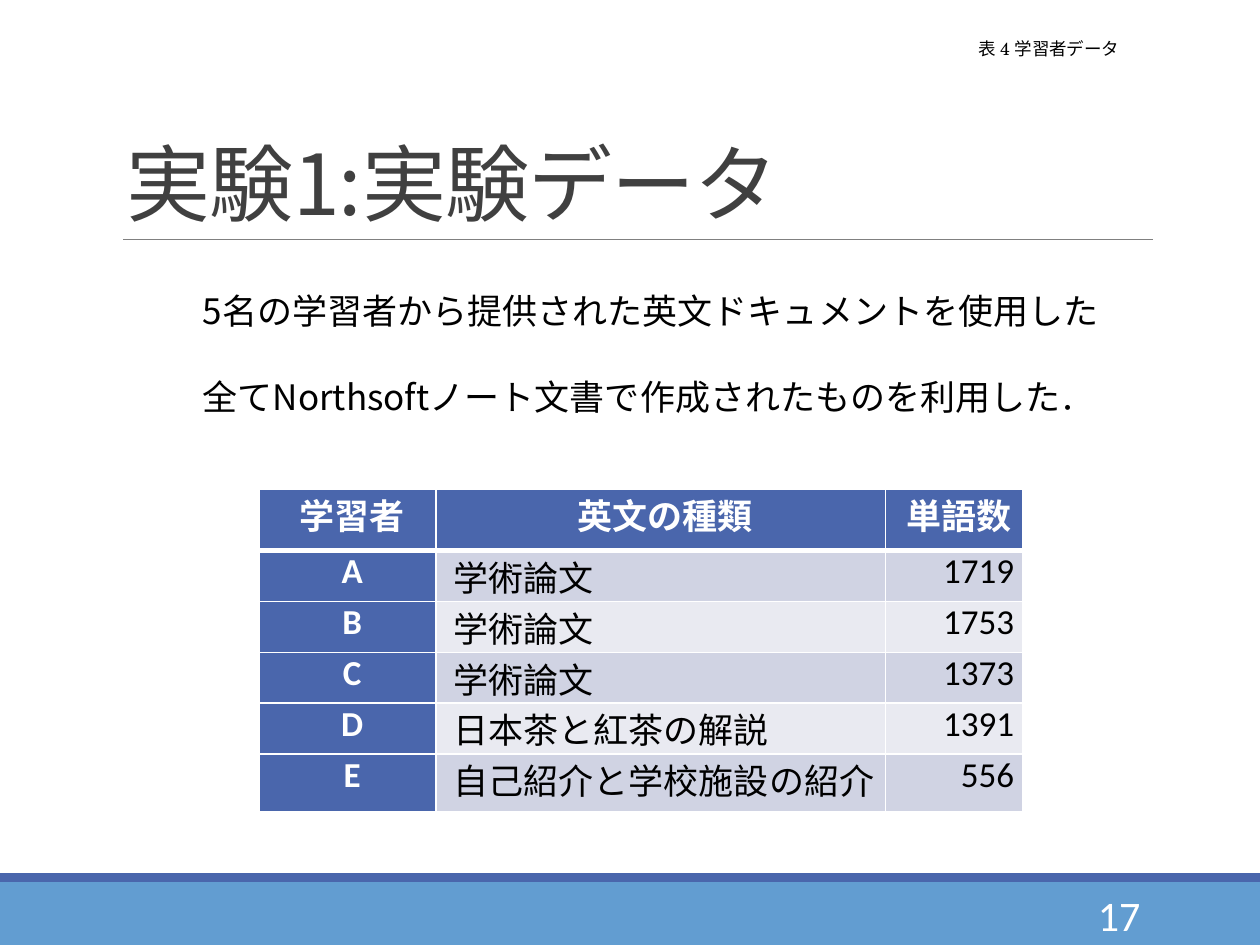
from dataclasses import dataclass

from lxml.etree import SubElement
from pptx import Presentation
from pptx.dml.color import RGBColor
from pptx.enum.shapes import MSO_CONNECTOR, MSO_SHAPE
from pptx.enum.text import MSO_ANCHOR as Anchor, MSO_AUTO_SIZE as AutoSize, PP_ALIGN as Align
from pptx.oxml.ns import qn
from pptx.util import Inches, Pt

CJK, LATIN, SERIF = "Noto Sans CJK JP", "Calibri", "TeX Gyre Schola"
BLUE, LIGHT_BLUE, WHITE, BLACK = "4A66AC", "629DD1", "FFFFFF", "000000"
BANDS = ("D0D3E3", "E9EAF1")
INDENT = Inches(0.07)


@dataclass
class Label:
    box: tuple[float, float, float, float]
    runs: list[tuple[str, float]]
    font: str
    color: str = BLACK
    align: Align = Align.LEFT
    anchor: Anchor = Anchor.TOP
    indent: int = 0


LABELS = [
    Label((8.07, 7.06, 1.08, 0.4), [("17", 24)], LATIN, WHITE, Align.RIGHT, Anchor.MIDDLE),
    Label((6.58, 0.25, 3.42, 0.27), [("表 4 学習者データ", 10)], SERIF,
          align=Align.CENTER, anchor=Anchor.MIDDLE, indent=INDENT),
    Label((1.51, 2.25, 7.49, 0.44),
          [("5名の学習者から提供された英文ドキュメントを使用した", 20)], CJK),
    Label((1.51, 2.93, 7.14, 0.44),
          [("全てNorthsoftノート文書で作成されたものを利用した", 20), ("．", 18)], CJK),
]

HEADER = ("学習者", "英文の種類", "単語数")
LEARNERS = [
    ("A", "学術論文", "1719"),
    ("B", "学術論文", "1753"),
    ("C", "学術論文", "1373"),
    ("D", "日本茶と紅茶の解説", "1391"),
    ("E", "自己紹介と学校施設の紹介", "556"),
]
COL_WIDTHS = (1.4, 3.57, 1.09)
ROW_HEIGHTS = (0.49, 0.39, 0.35, 0.35, 0.35, 0.46)
COL_ALIGNS = (Align.CENTER, Align.JUSTIFY, Align.RIGHT)


def rgb(color: str) -> RGBColor:
    return RGBColor.from_string(color)


def add_run(p, text: str, size: float, font: str, color: str, bold: bool = False):
    r = p.add_run()
    r.text = text
    for name, value in {"size": Pt(size), "name": font, "bold": bold}.items():
        setattr(r.font, name, value)
    r.font.color.rgb = rgb(color)
    SubElement(r._r.get_or_add_rPr(), qn("a:ea")).set("typeface", CJK)
    return r


def set_paragraph(p, align: Align, indent: int = 0) -> None:
    p.alignment = align
    if indent:
        pPr = p._p.get_or_add_pPr()
        pPr.set("marL", "0")
        pPr.set("indent", str(indent))


def add_bar(slide, top: float, height: float, color: str) -> None:
    s = slide.shapes.add_shape(MSO_SHAPE.RECTANGLE, 0, Inches(top), Inches(10), Inches(height))
    s.shadow.inherit = False
    s.fill.solid()
    s.fill.fore_color.rgb = rgb(color)
    s.line.fill.background()


def add_rule(slide) -> None:
    y = Inches(1.9)
    line = slide.shapes.add_connector(MSO_CONNECTOR.STRAIGHT, Inches(0.98), y, Inches(9.15), y)
    line.line.color.rgb = rgb("808080")
    line.line.width = Pt(0.5)
    SubElement(line._element.spPr, qn("a:effectLst"))


def set_title(slide, text: str) -> None:
    title = slide.shapes.title
    box = {"left": 0.9, "top": 0.31, "width": 8.25, "height": 1.59}
    for name, value in box.items():
        setattr(title, name, Inches(value))
    tf = title.text_frame
    tf.auto_size = AutoSize.NONE
    tf.vertical_anchor = Anchor.BOTTOM
    p = tf.paragraphs[0]
    p.alignment = Align.LEFT
    p.line_spacing = 0.85
    r = add_run(p, text, 48, CJK, "404040")
    r._r.get_or_add_rPr().set("spc", "-50")


def add_label(slide, label: Label) -> None:
    tf = slide.shapes.add_textbox(*map(Inches, label.box)).text_frame
    tf.word_wrap = True
    tf.vertical_anchor = label.anchor
    p = tf.paragraphs[0]
    set_paragraph(p, label.align, label.indent)
    for text, size in label.runs:
        add_run(p, text, size, label.font, label.color)


def set_borders(cell, widths: dict[str, float]) -> None:
    tcPr = cell._tc.get_or_add_tcPr()
    for side, width in widths.items():
        ln = SubElement(tcPr, qn(f"a:ln{side}"), w=str(Pt(width)))
        SubElement(SubElement(ln, qn("a:solidFill")), qn("a:srgbClr"), val=WHITE)


def fill_cell(cell, text: str, row: int, col: int) -> None:
    is_head = row == 0 or col == 0
    set_borders(cell, {"L": 1, "R": 1, "T": 3 if row == 1 else 1, "B": 3 if row == 0 else 1})
    cell.fill.solid()
    cell.fill.fore_color.rgb = rgb(BLUE if is_head else BANDS[(row - 1) % 2])
    margins = {"margin_left": INDENT, "margin_right": INDENT, "margin_top": 0, "margin_bottom": 0}
    for name, value in margins.items():
        setattr(cell, name, value)
    p = cell.text_frame.paragraphs[0]
    set_paragraph(p, Align.CENTER if is_head else COL_ALIGNS[col], INDENT)
    add_run(p, text, 20, LATIN, WHITE if is_head else BLACK, is_head)


def add_learner_table(slide) -> None:
    rows = [HEADER, *LEARNERS]
    table = slide.shapes.add_table(
        len(rows), len(HEADER), Inches(2.06), Inches(3.88),
        Inches(sum(COL_WIDTHS)), Inches(sum(ROW_HEIGHTS))).table
    table.first_col = True
    for column, width in zip(table.columns, COL_WIDTHS):
        column.width = Inches(width)
    for row, height in zip(table.rows, ROW_HEIGHTS):
        row.height = Inches(height)
    for i, texts in enumerate(rows):
        for j, text in enumerate(texts):
            fill_cell(table.cell(i, j), text, i, j)


def main() -> None:
    prs = Presentation()
    prs.slide_width, prs.slide_height = Inches(10), Inches(7.5)
    slide = prs.slides.add_slide(prs.slide_layouts[5])
    add_bar(slide, 7, 0.5, LIGHT_BLUE)
    add_bar(slide, 6.93, 0.07, BLUE)
    add_rule(slide)
    set_title(slide, "実験1:実験データ")
    add_learner_table(slide)
    for label in LABELS:
        add_label(slide, label)
    prs.save("out.pptx")


if __name__ == "__main__":
    main()
